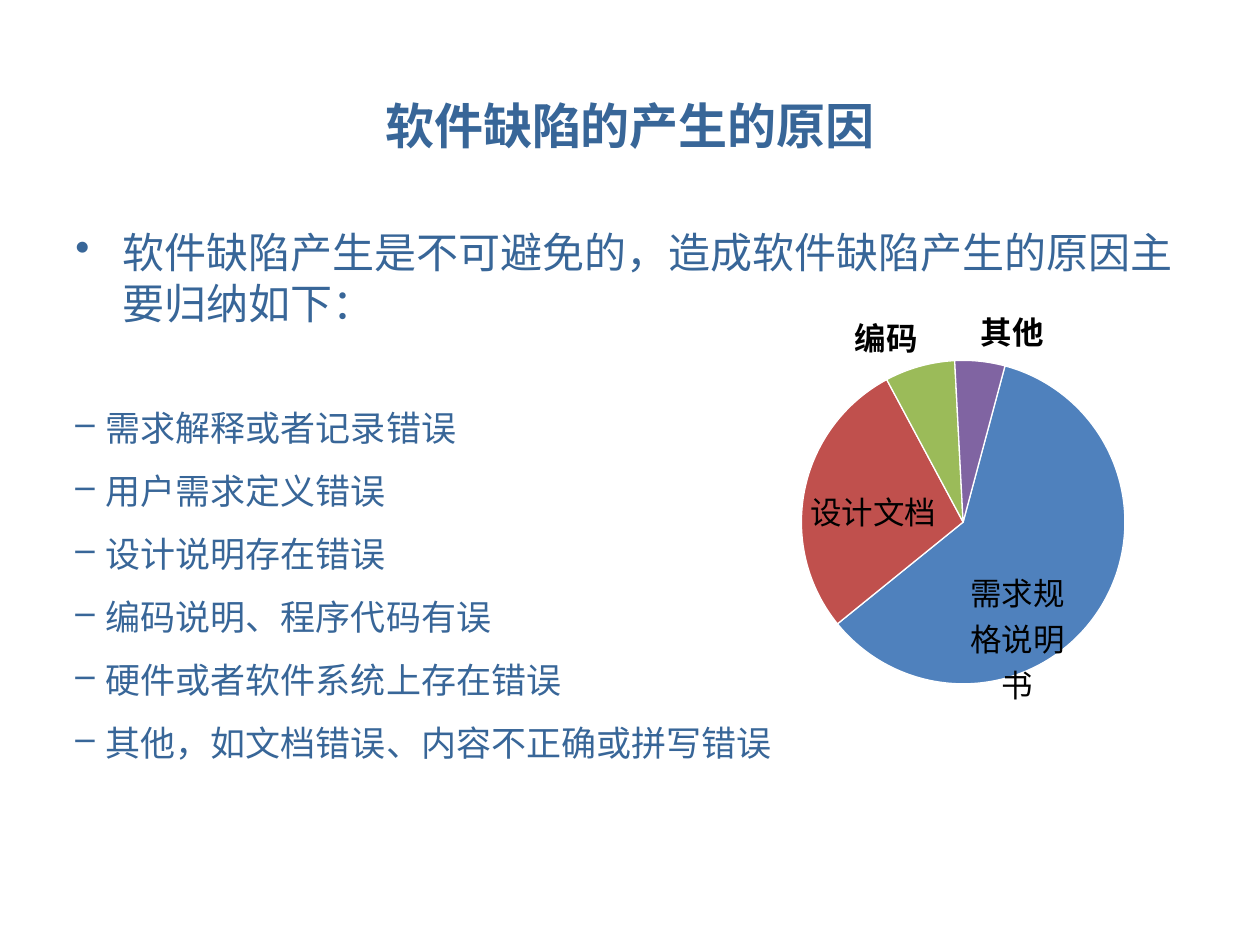
"""Build a slide on the causes of software defects with a pie chart of their sources."""
from lxml import etree
from pptx import Presentation
from pptx.chart.data import CategoryChartData
from pptx.dml.color import RGBColor
from pptx.enum.chart import XL_CHART_TYPE, XL_LABEL_POSITION
from pptx.enum.text import MSO_ANCHOR, PP_ALIGN
from pptx.oxml.ns import qn
from pptx.util import Cm, Pt

PIE = XL_CHART_TYPE.PIE
CENTER_LABEL = XL_LABEL_POSITION.CENTER
BEST_FIT = XL_LABEL_POSITION.BEST_FIT
TOP = MSO_ANCHOR.TOP
CENTERED = PP_ALIGN.CENTER

BLUE_TEXT = RGBColor(0x38, 0x66, 0x98)
BLACK = RGBColor(0x00, 0x00, 0x00)
WHITE = RGBColor(0xFF, 0xFF, 0xFF)
BLUE = RGBColor(0x4F, 0x81, 0xBD)
RED = RGBColor(0xC0, 0x50, 0x4D)
GREEN = RGBColor(0x9B, 0xBB, 0x59)
PURPLE = RGBColor(0x80, 0x64, 0xA2)

INTRODUCTION = "软件缺陷产生是不可避免的，造成软件缺陷产生的原因主要归纳如下："
CAUSES = [
    "需求解释或者记录错误",
    "用户需求定义错误",
    "设计说明存在错误",
    "编码说明、程序代码有误",
    "硬件或者软件系统上存在错误",
    "其他，如文档错误、内容不正确或拼写错误",
]
SOURCES = [
    ("需求规格说明书", 0.6, BLUE, BEST_FIT, False, "square", (-0.25, -0.09)),
    ("设计文档", 0.28, RED, CENTER_LABEL, False, "none", (-0.02, 0.01)),
    ("编码", 0.07, GREEN, BEST_FIT, True, "none", None),
    ("其他", 0.05, PURPLE, BEST_FIT, True, "none", None),
]


def add_bullet(paragraph, character, indent):
    properties = paragraph._p.get_or_add_pPr()
    properties.set("marL", str(indent))
    properties.set("indent", str(-indent))
    bullet = etree.Element(qn("a:buChar"), char=character)
    properties.insert_element_before(bullet, "a:tabLst", "a:defRPr", "a:extLst")


def make_layout(**values):
    layout = etree.Element(qn("c:layout"))
    manual = etree.SubElement(layout, qn("c:manualLayout"))
    for name, value in values.items():
        etree.SubElement(manual, qn(f"c:{name}"), val=str(value))
    return layout


presentation = Presentation()
presentation.slide_width = Cm(25.4)
presentation.slide_height = Cm(19.05)
slide = presentation.slides.add_slide(presentation.slide_layouts[6])

title = slide.shapes.add_textbox(Cm(1.27), Cm(1.8), Cm(22.86), Cm(1.7)).text_frame
title.word_wrap = True
title.vertical_anchor = TOP
paragraph = title.paragraphs[0]
paragraph.text = "软件缺陷的产生的原因"
paragraph.alignment = CENTERED
paragraph.font.name = "Lato"
paragraph.font.size = Pt(28)
paragraph.font.bold = True
paragraph.font.color.rgb = BLUE_TEXT

body = slide.shapes.add_textbox(Cm(1.27), Cm(4.45), Cm(22.86), Cm(12.57)).text_frame
body.word_wrap = True
for index, text in enumerate([INTRODUCTION] + CAUSES):
    paragraph = body.add_paragraph() if index else body.paragraphs[0]
    paragraph.text = text
    paragraph.level = 1 if index else 0
    paragraph.line_spacing = 1.5 if index else 1.0
    paragraph.space_before = Pt(33 if index == 1 else 0)
    paragraph.font.name = "Noto Sans CJK SC"
    paragraph.font.size = Pt(20 if index else 24)
    paragraph.font.color.rgb = BLUE_TEXT
    add_bullet(paragraph, "–" if index else "•", Cm(0.61 if index else 0.95))

chart_data = CategoryChartData(number_format="0%")
chart_data.categories = [source[0] for source in SOURCES]
chart_data.add_series("Series 1", [source[1] for source in SOURCES])
chart = slide.shapes.add_chart(
    PIE, Cm(13.82), Cm(5.84), Cm(10.87), Cm(10.19), chart_data
).chart
chart.has_title = False
chart.has_legend = False
chart.font.name = "Calibri"
chart.font.size = Pt(18)
chart.font.color.rgb = BLACK

plot = chart.plots[0]
plot.vary_by_categories = True
series = plot.series[0]
labels = series.data_labels
labels.show_value = True
labels.show_category_name = True
labels.number_format = "0%"
labels.number_format_is_linked = False
labels.position = BEST_FIT
labels.font.name = "Calibri"
labels.font.size = Pt(18)
labels.font.color.rgb = BLACK
for index, (name, share, color, position, bold, wrap, offset) in enumerate(SOURCES):
    point = series.points[index]
    point.format.fill.solid()
    point.format.fill.fore_color.rgb = color
    point.format.line.color.rgb = WHITE
    point.format.line.width = Pt(0.75)
    label = point.data_label
    run = label.text_frame.paragraphs[0].add_run()
    run.text = name
    run.font.name = "Calibri"
    run.font.size = Pt(18)
    run.font.bold = bold
    run.font.color.rgb = BLACK
    label.position = position
    label_element = chart.element.xpath(f".//c:dLbl[c:idx/@val='{index}']")[0]
    if offset:
        label_element.insert(1, make_layout(x=offset[0], y=offset[1]))
    label_element.xpath(".//a:bodyPr")[0].set("wrap", wrap)
    label_element.find(qn("c:showCatName")).set("val", "1")

for leader_lines in chart.element.xpath(".//c:showLeaderLines"):
    leader_lines.set("val", "0")

pie = chart.element.xpath(".//c:pieChart")[0]
for angle in pie.findall(qn("c:firstSliceAng")):
    pie.remove(angle)
etree.SubElement(pie, qn("c:firstSliceAng"), val="15")
plot_area = pie.getparent()
for layout in plot_area.findall(qn("c:layout")):
    plot_area.remove(layout)
plot_area.insert(0, make_layout(
    layoutTarget="inner", xMode="edge", yMode="edge", x=0.21, y=0.14, w=0.61, h=0.64
))

presentation.save("out.pptx")
